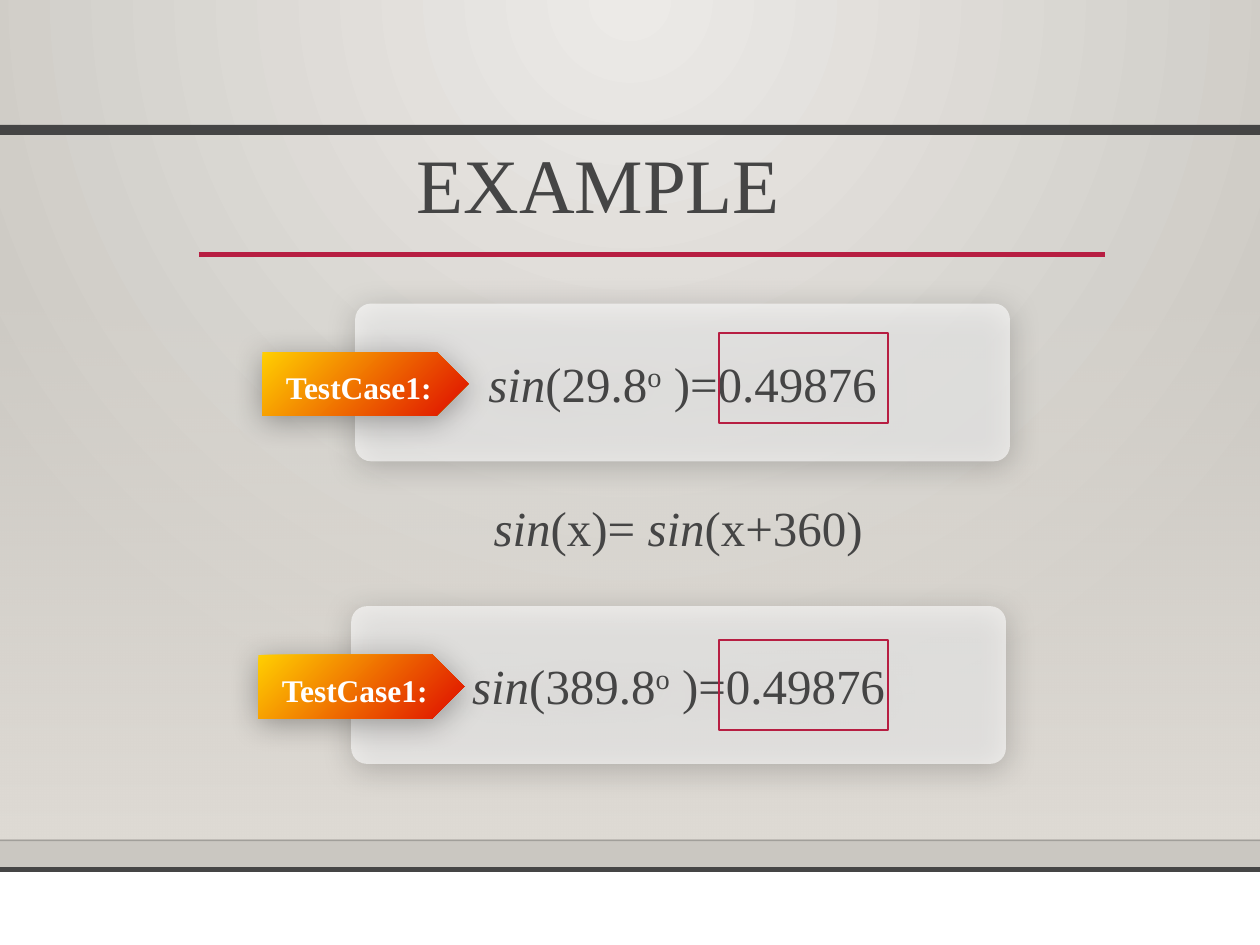
from dataclasses import dataclass

from lxml import etree
from pptx import Presentation
from pptx import util as u
from pptx.dml.color import RGBColor
from pptx.enum import shapes, text
from pptx.oxml.ns import qn


@dataclass(frozen=True)
class Theme:
    font: str = "Times New Roman"
    ink: str = "454545"
    accent: str = "B71E42"
    white: str = "FFFFFF"
    hairline: str = "000001"
    shadow: str = "000000"
    glow: str = "ECEAE7"
    edge: str = "CAC7C1"
    floor: str = "DFDBD5"
    tag_start: str = "FFCF01"
    tag_end: str = "E22000"
    title_size: int = 44
    formula_size: int = 28
    tag_size: int = 18


def add_color(parent, color, alpha=100):
    node = etree.SubElement(parent, qn("a:srgbClr"), val=color)
    if alpha < 100:
        etree.SubElement(node, qn("a:alpha"), val=str(alpha * 1000))


def set_gradient(fill, owner, stops, angle=None, focus=None):
    """Linear gradient by angle, or a circular one around focus (l, t, r, b)."""
    fill.gradient()
    grad = next(owner.iter(qn("a:gradFill")))
    for child in list(grad):
        grad.remove(child)
    stop_list = etree.SubElement(grad, qn("a:gsLst"))
    for position, color, alpha in stops:
        stop = etree.SubElement(stop_list, qn("a:gs"), pos=str(position * 1000))
        add_color(stop, color, alpha)
    if focus is None:
        etree.SubElement(grad, qn("a:lin"), ang=str(angle * 60000), scaled="0")
    else:
        circle = etree.SubElement(grad, qn("a:path"))
        circle.set("path", "circle")
        rect = etree.SubElement(circle, qn("a:fillToRect"))
        for side, percent in zip("ltrb", focus):
            rect.set(side, str(percent * 1000))


class SlideBuilder:
    def __init__(self, slide, theme):
        self.slide = slide
        self.theme = theme

    def background(self):
        stops = [(0, self.theme.glow, 100), (100, self.theme.edge, 100)]
        set_gradient(self.slide.background.fill, self.slide._element, stops,
                     focus=(43, 0, 43, 100))

    def shape(self, kind, box, color=None, alpha=100, gradient=None, angle=0,
              outline=None, shadow=False, parent=None):
        item = (parent or self.slide).shapes.add_shape(kind, *map(u.Cm, box))
        item.shadow.inherit = False
        if gradient:
            set_gradient(item.fill, item._element.spPr, gradient, angle)
        elif color:
            item.fill.solid()
            item.fill.fore_color.rgb = RGBColor.from_string(color)
            solid = item._element.spPr.find(qn("a:solidFill"))
            solid.remove(solid[0])
            add_color(solid, color, alpha)
        else:
            item.fill.background()
        if outline:
            item.line.color.rgb = RGBColor.from_string(outline)
            item.line.width = u.Pt(1.25)
        else:
            item.line.fill.background()
        if shadow:
            effects = item._element.spPr.find(qn("a:effectLst"))
            outer = etree.SubElement(
                effects, qn("a:outerShdw"), blurRad=str(u.Pt(17.8)),
                dist=str(u.Pt(3)), dir=str(87 * 60000), rotWithShape="0")
            add_color(outer, self.theme.shadow, 33)
        return item

    def rule(self, left, right, y, color, width, alpha=100):
        line = self.slide.shapes.add_connector(
            shapes.MSO_CONNECTOR.STRAIGHT, *map(u.Cm, (left, y, right, y)))
        line.line.color.rgb = RGBColor.from_string(color)
        line.line.width = u.Pt(width)
        solid = next(line._element.spPr.iter(qn("a:solidFill")))
        solid.remove(solid[0])
        add_color(solid, color, alpha)
        etree.SubElement(line._element.spPr, qn("a:effectLst"))

    def set_runs(self, frame, parts, size, color, align, bold=False):
        """Each part is (text, style); style is "", "italic" or "super"."""
        frame.word_wrap = True
        paragraph = frame.paragraphs[0]
        paragraph.alignment = align
        for words, style in parts:
            run = paragraph.add_run()
            run.text = words
            run.font.name = self.theme.font
            run.font.size = u.Pt(size)
            run.font.bold = bold
            run.font.italic = style == "italic"
            run.font.color.rgb = RGBColor.from_string(color)
            if style == "super":
                run._r.get_or_add_rPr().set("baseline", "30000")
        return paragraph

    def text_box(self, box, parts, size, color, align, bold=False, parent=None):
        item = (parent or self.slide).shapes.add_textbox(*map(u.Cm, box))
        return self.set_runs(item.text_frame, parts, size, color, align, bold)

    def test_case(self, left, top, angle_text):
        theme = self.theme
        group = self.slide.shapes.add_group_shape()
        card = self.shape(shapes.MSO_SHAPE.ROUNDED_RECTANGLE,
                          (left, top, 13.2, 3.18), theme.white, alpha=60,
                          shadow=True, parent=group)
        card.adjustments[0] = 0.1
        card.text_frame.vertical_anchor = text.MSO_ANCHOR.MIDDLE
        formula = [("sin", "italic"), (f"({angle_text}", ""),
                   ("o", "super"), (" )=0.49876", "")]
        self.set_runs(card.text_frame, formula, theme.formula_size, theme.ink,
                      text.PP_ALIGN.CENTER)
        self.shape(shapes.MSO_SHAPE.PENTAGON,
                   (left - 1.87, top + 0.98, 4.15, 1.28),
                   gradient=[(0, theme.tag_start, 100), (90, theme.tag_end, 100)],
                   angle=45, shadow=True, parent=group)
        self.text_box((left - 1.65, top + 1.18, 3.45, 1.02), [("TestCase1:", "")],
                      theme.tag_size, theme.white, text.PP_ALIGN.CENTER,
                      bold=True, parent=group)


def main():
    theme = Theme()
    width, height = 25.4, 19.05
    deck = Presentation()
    deck.slide_width, deck.slide_height = u.Cm(width), u.Cm(height)
    page = SlideBuilder(deck.slides.add_slide(deck.slide_layouts[6]), theme)
    rectangle = shapes.MSO_SHAPE.RECTANGLE

    # Backdrop and frame
    footer_top = 17.53
    page.background()
    page.shape(rectangle, (0, 5.59, width, 11.33),
               gradient=[(0, theme.floor, 0), (100, theme.floor, 100)], angle=90)
    page.rule(0, width, 16.94, theme.hairline, 1, alpha=20)
    page.rule(4.01, 22.27, 5.13, theme.accent, 2.5)
    page.shape(rectangle, (0, footer_top, width, height - footer_top), theme.white)
    page.shape(rectangle, (0, 2.52, width, 0.2), theme.ink)
    page.rule(0, width, footer_top, theme.ink, 3)

    # Title
    title = page.text_box((1.27, 2.84, 21.59, 3.18), [("EXAMPLE", "")],
                          theme.title_size, theme.ink, text.PP_ALIGN.CENTER)
    title.line_spacing = 0.9

    # Test cases and the identity between them
    page.test_case(7.16, 6.12, "29.8")
    page.text_box((9.7, 9.91, 9, 1.45),
                  [("sin", "italic"), ("(x)= ", ""),
                   ("sin", "italic"), ("(x+360)", "")],
                  theme.formula_size, theme.ink, text.PP_ALIGN.LEFT)
    page.test_case(7.08, 12.22, "389.8")

    # Frames around the equal results
    for top in (6.72, 12.9):
        page.shape(rectangle, (14.5, top, 3.4, 1.81), outline=theme.accent)

    deck.save("out.pptx")


if __name__ == "__main__":
    main()
